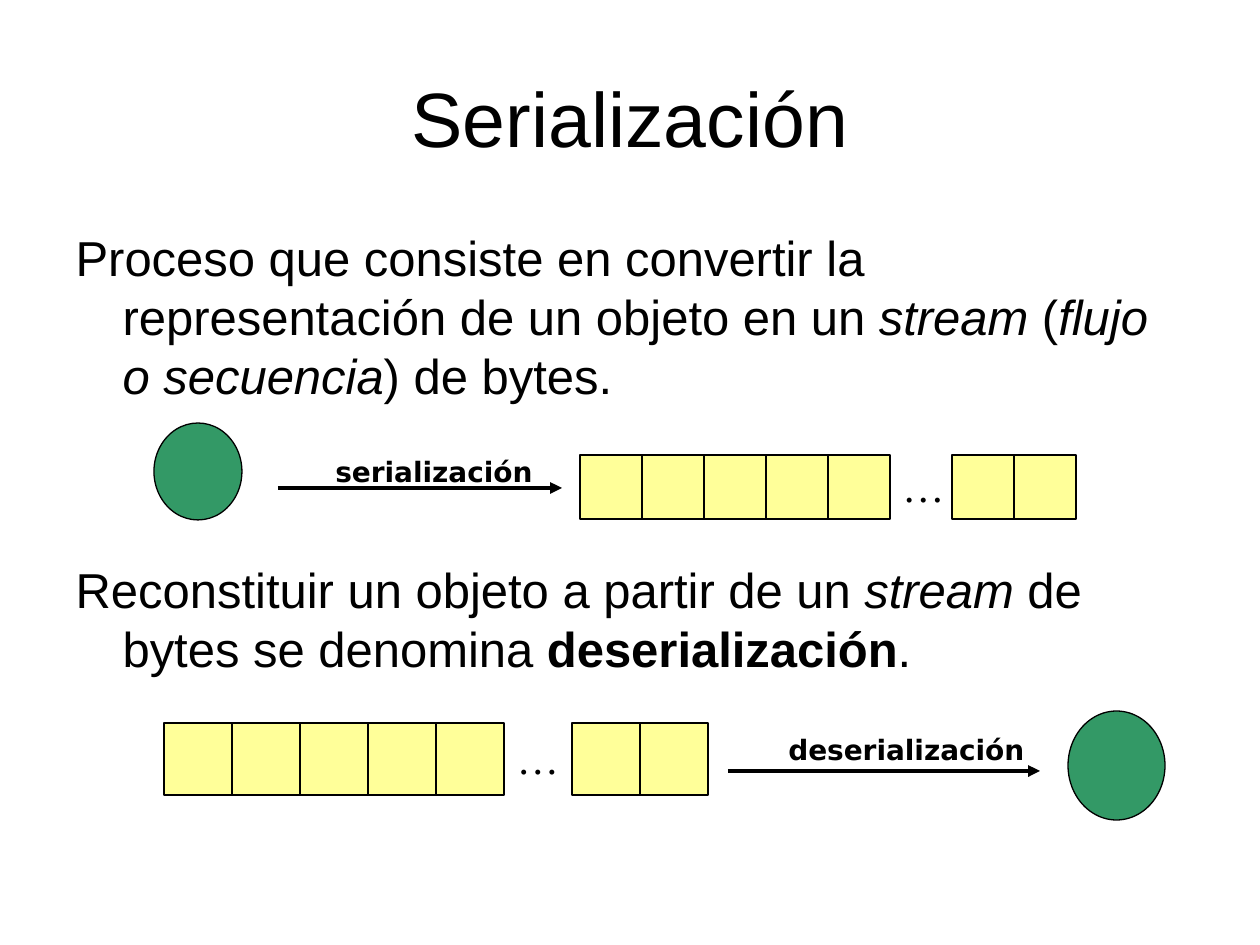
from lxml.etree import SubElement
from pptx import Presentation
from pptx.dml.color import RGBColor
from pptx.enum.shapes import MSO_CONNECTOR, MSO_SHAPE
from pptx.enum.text import MSO_ANCHOR, MSO_AUTO_SIZE, PP_ALIGN
from pptx.oxml.ns import qn
from pptx.util import Pt

EMU_PER_PX = 914400 / 126
SLIDE_WIDTH, SLIDE_HEIGHT = 1260, 945


def px(length):
    return round(length * EMU_PER_PX)


def color(hex_code):
    return RGBColor.from_string(hex_code)


class SlideBuilder:
    INK = "000000"
    OBJECT_FILL = "339966"
    BYTE_FILL = "FFFF99"
    TEXT_FONT = "Arial"
    LABEL_FONT = "DejaVu Sans"
    ELLIPSIS_FONT = "Times New Roman"

    def __init__(self, presentation):
        self.slide = presentation.slides.add_slide(presentation.slide_layouts[1])
        self.group = None

    def start_group(self):
        """Collect the elements that follow in a new group."""
        self.group = self.slide.shapes.add_group_shape().shapes

    def style_font(self, font, name, size, bold=False, italic=False):
        font.name, font.size = name, Pt(size)
        font.bold, font.italic = bold, italic
        font.color.rgb = color(self.INK)

    def place(self, shape, left, top, width, height):
        shape.left, shape.top = px(left), px(top)
        shape.width, shape.height = px(width), px(height)

    def title(self, text, *box):
        heading = self.slide.shapes.title
        self.place(heading, *box)
        frame = heading.text_frame
        frame.text = text
        frame.vertical_anchor = MSO_ANCHOR.MIDDLE
        frame.auto_size = MSO_AUTO_SIZE.NONE
        frame.paragraphs[0].alignment = PP_ALIGN.CENTER
        self.style_font(frame.paragraphs[0].runs[0].font, self.TEXT_FONT, 44)

    def body(self, paragraphs, gap, *box):
        """Each paragraph is a list of (text, style); style is "", "bold" or "italic"."""
        definitions = self.slide.placeholders[1]
        self.place(definitions, *box)
        frame = definitions.text_frame
        frame.auto_size = MSO_AUTO_SIZE.NONE
        for index, pieces in enumerate(paragraphs):
            paragraph = frame.add_paragraph() if index else frame.paragraphs[0]
            properties = paragraph._p.get_or_add_pPr()
            properties.set("marL", str(px(47)))
            properties.set("indent", str(px(-47)))
            SubElement(properties, qn("a:buNone"))
            paragraph.line_spacing = Pt(33.7)
            paragraph.space_before = Pt(gap if index else 0)
            for text, style in pieces:
                run = paragraph.add_run()
                run.text = text
                self.style_font(run.font, self.TEXT_FONT, 28,
                                style == "bold", style == "italic")

    def outlined(self, kind, fill, *box):
        shape = self.group.add_shape(kind, *map(px, box))
        shape.shadow.inherit = False
        shape.fill.solid()
        shape.fill.fore_color.rgb = color(fill)
        shape.line.color.rgb = color(self.INK)
        shape.line.width = Pt(0.75)

    def object_circle(self, *box):
        self.outlined(MSO_SHAPE.OVAL, self.OBJECT_FILL, *box)

    def text(self, content, font, size, box, bold=False,
             align=PP_ALIGN.LEFT, anchor=MSO_ANCHOR.TOP):
        frame = self.group.add_textbox(*map(px, box)).text_frame
        frame.word_wrap = True
        frame.vertical_anchor = anchor
        frame.text = content
        paragraph = frame.paragraphs[0]
        paragraph.alignment = align
        paragraph.line_spacing = Pt(27.8)
        self.style_font(paragraph.runs[0].font, font, size, bold)

    def byte_stream(self, left, top, cell_width, cell_height):
        """Five cells, an ellipsis and two more cells, all equally wide."""
        for slot in range(8):
            box = (left + slot * cell_width, top, cell_width, cell_height)
            if slot == 5:
                self.text("…", self.ELLIPSIS_FONT, 24, box,
                          align=PP_ALIGN.CENTER, anchor=MSO_ANCHOR.MIDDLE)
            else:
                self.outlined(MSO_SHAPE.RECTANGLE, self.BYTE_FILL, *box)

    def arrow(self, start, end, y):
        connector = self.group.add_connector(
            MSO_CONNECTOR.STRAIGHT, px(start), px(y), px(end), px(y))
        connector.line.color.rgb = color(self.INK)
        connector.line.width = Pt(2.25)
        SubElement(connector.line._get_or_add_ln(), qn("a:tailEnd"), type="triangle")
        SubElement(connector._element.spPr, qn("a:effectLst"))

    def label(self, content, *box):
        self.text(content, self.LABEL_FONT, 16, box, bold=True)


def main():
    presentation = Presentation()
    presentation.slide_width = px(SLIDE_WIDTH)
    presentation.slide_height = px(SLIDE_HEIGHT)

    builder = SlideBuilder(presentation)
    builder.title("Serialización", 63, 38, 1134, 157)
    builder.body([
        [("Proceso que consiste en convertir la representación de un objeto en un ", ""),
         ("stream", "italic"), (" (", ""), ("flujo o secuencia", "italic"),
         (") de bytes.", "")],
        [("Reconstituir un objeto a partir de un ", ""), ("stream", "italic"),
         (" de bytes se denomina ", ""), ("deserialización", "bold"), (".", "")],
    ], 88.4, 63, 221, 1134, 624)

    builder.start_group()
    builder.object_circle(154, 423, 88, 97)
    builder.byte_stream(580, 455, 62, 64)
    builder.arrow(278, 562, 488)
    builder.label("serialización", 323, 433, 239, 62)

    builder.start_group()
    builder.object_circle(1068, 711, 97, 109)
    builder.byte_stream(164, 723, 68, 72)
    builder.arrow(728, 1040, 771)
    builder.label("deserialización", 776, 711, 263, 62)

    presentation.save("out.pptx")


if __name__ == "__main__":
    main()
